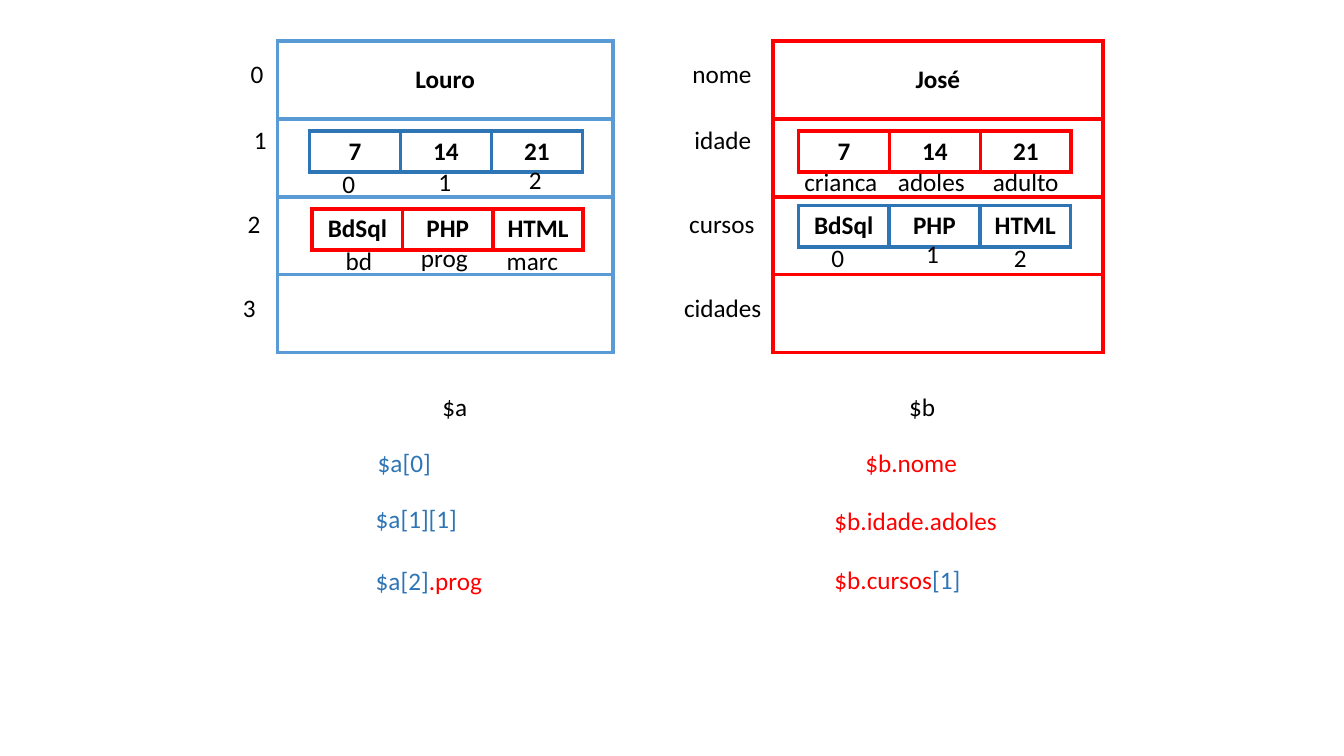
from dataclasses import dataclass

from lxml import etree
from pptx import Presentation
from pptx.dml.color import RGBColor
from pptx.enum.text import MSO_ANCHOR, MSO_AUTO_SIZE, PP_ALIGN
from pptx.oxml.ns import qn
from pptx.slide import Slide
from pptx.table import _Cell
from pptx.text.text import _Paragraph
from pptx.util import Cm, Pt

CENTER = PP_ALIGN.CENTER
MIDDLE = MSO_ANCHOR.MIDDLE
TOP = MSO_ANCHOR.TOP
FIT_SHAPE = MSO_AUTO_SIZE.SHAPE_TO_FIT_TEXT

COLORS = {"text": "000000", "frame": "5B9BD5", "indexed": "2E75B6", "named": "FF0000"}
FONT = "Calibri"
FONT_SIZE = 18
BORDER_WIDTH = 3
LABEL_HEIGHT = 1.03
DIGIT_WIDTH = 0.84
RECORD_ROW = 1.96
LIST_ROW = 1.04


@dataclass(frozen=True)
class Grid:
    left: float
    top: float
    width: float
    row_height: float
    rows: list[list[str]]
    color: str
    anchor: MSO_ANCHOR = TOP


@dataclass(frozen=True)
class Label:
    left: float
    top: float
    width: float
    runs: list[tuple[str, str]]


def record(left: float, width: float, name: str, color: str) -> Grid:
    return Grid(left, 1.04, width, RECORD_ROW, [[name], [""], [""], [""]], color, MIDDLE)


def inner_list(left: float, top: float, width: float, values: list[str], color: str) -> Grid:
    return Grid(left, top, width, LIST_ROW, [values], color)


def plain(left: float, top: float, width: float, text: str, color: str = "text") -> Label:
    return Label(left, top, width, [(text, color)])


AGES = ["7", "14", "21"]
COURSES = ["BdSql", "PHP", "HTML"]

GRIDS = [
    record(6.99, 8.46, "Louro", "frame"),
    record(19.48, 8.31, "José", "named"),
    inner_list(7.8, 3.3, 6.88, AGES, "indexed"),
    inner_list(20.12, 3.3, 6.88, AGES, "named"),
    inner_list(7.87, 5.26, 6.83, COURSES, "named"),
    inner_list(20.12, 5.18, 6.86, COURSES, "indexed"),
]

KEY_TOPS = [1.35, 3.02, 5.13, 7.24]
INDEX_LEFTS = [6.07, 6.15, 5.99, 5.87]
FIELDS = [(17.2, 2.03, "nome"), (17.25, 1.96, "idade"),
          (17.12, 2.18, "cursos"), (16.99, 2.49, "cidades")]

LABELS = [
    *[plain(left, top, DIGIT_WIDTH, str(index))
      for index, (left, top) in enumerate(zip(INDEX_LEFTS, KEY_TOPS))],
    *[plain(left, top, width, field)
      for (left, width, field), top in zip(FIELDS, KEY_TOPS)],
    *[plain(left, top, DIGIT_WIDTH, str(index))
      for index, (left, top) in enumerate([(8.38, 4.11), (10.8, 4.06), (13.08, 4.01)])],
    *[plain(left, top, DIGIT_WIDTH, str(index))
      for index, (left, top) in enumerate([(20.7, 5.97), (23.09, 5.89), (25.3, 5.97)])],
    plain(20.02, 4.06, 2.36, "crianca"),
    plain(22.38, 4.06, 2.21, "adoles"),
    plain(24.77, 4.06, 2.18, "adulto"),
    plain(8.46, 6.05, 1.19, "bd"),
    plain(10.36, 5.99, 1.7, "prog"),
    plain(12.52, 6.05, 1.83, "marc"),
    plain(10.9, 9.73, 1.14, "$a"),
    plain(9.27, 11.15, 1.85, "$a[0]", "indexed"),
    plain(9.22, 12.57, 2.59, "$a[1][1]", "indexed"),
    Label(9.22, 14.12, 3.23, [("$a[2]", "indexed"), (".prog", "named")]),
    plain(22.66, 9.73, 1.17, "$b"),
    plain(21.56, 11.15, 2.84, "$b.nome", "named"),
    plain(20.78, 12.6, 4.65, "$b.idade.adoles", "named"),
    Label(20.78, 14.1, 3.71, [("$b.cursos", "named"), ("[1]", "indexed")]),
]


def add_run(paragraph: _Paragraph, text: str, color: str, bold: bool = False) -> None:
    run = paragraph.add_run()
    run.text = text
    run.font.name = FONT
    run.font.size = Pt(FONT_SIZE)
    run.font.bold = bold
    run.font.color.rgb = RGBColor.from_string(COLORS[color])


def style_cell(cell: _Cell, color: str) -> None:
    properties = cell._tc.get_or_add_tcPr()
    for side in ("lnL", "lnR", "lnT", "lnB"):
        border = etree.SubElement(properties, qn(f"a:{side}"), w=str(Pt(BORDER_WIDTH)))
        fill = etree.SubElement(border, qn("a:solidFill"))
        etree.SubElement(fill, qn("a:srgbClr"), val=COLORS[color])
    cell.fill.background()


def draw_grid(slide: Slide, grid: Grid) -> None:
    row_count, column_count = len(grid.rows), len(grid.rows[0])
    table = slide.shapes.add_table(
        row_count, column_count, Cm(grid.left), Cm(grid.top),
        Cm(grid.width), Cm(grid.row_height * row_count)).table
    table.first_row = False
    table.horz_banding = False
    for row_index, values in enumerate(grid.rows):
        for column_index, value in enumerate(values):
            cell = table.cell(row_index, column_index)
            style_cell(cell, grid.color)
            cell.vertical_anchor = grid.anchor
            if value:
                paragraph = cell.text_frame.paragraphs[0]
                paragraph.alignment = CENTER
                add_run(paragraph, value, "text", bold=True)


def draw_label(slide: Slide, label: Label) -> None:
    frame = slide.shapes.add_textbox(
        Cm(label.left), Cm(label.top), Cm(label.width), Cm(LABEL_HEIGHT)).text_frame
    frame.word_wrap = False
    frame.auto_size = FIT_SHAPE
    for text, color in label.runs:
        add_run(frame.paragraphs[0], text, color)


def main() -> None:
    presentation = Presentation()
    presentation.slide_width = Cm(33.87)
    presentation.slide_height = Cm(19.05)
    slide = presentation.slides.add_slide(presentation.slide_layouts[6])
    for grid in GRIDS:
        draw_grid(slide, grid)
    for label in LABELS:
        draw_label(slide, label)
    presentation.save("out.pptx")


if __name__ == "__main__":
    main()
